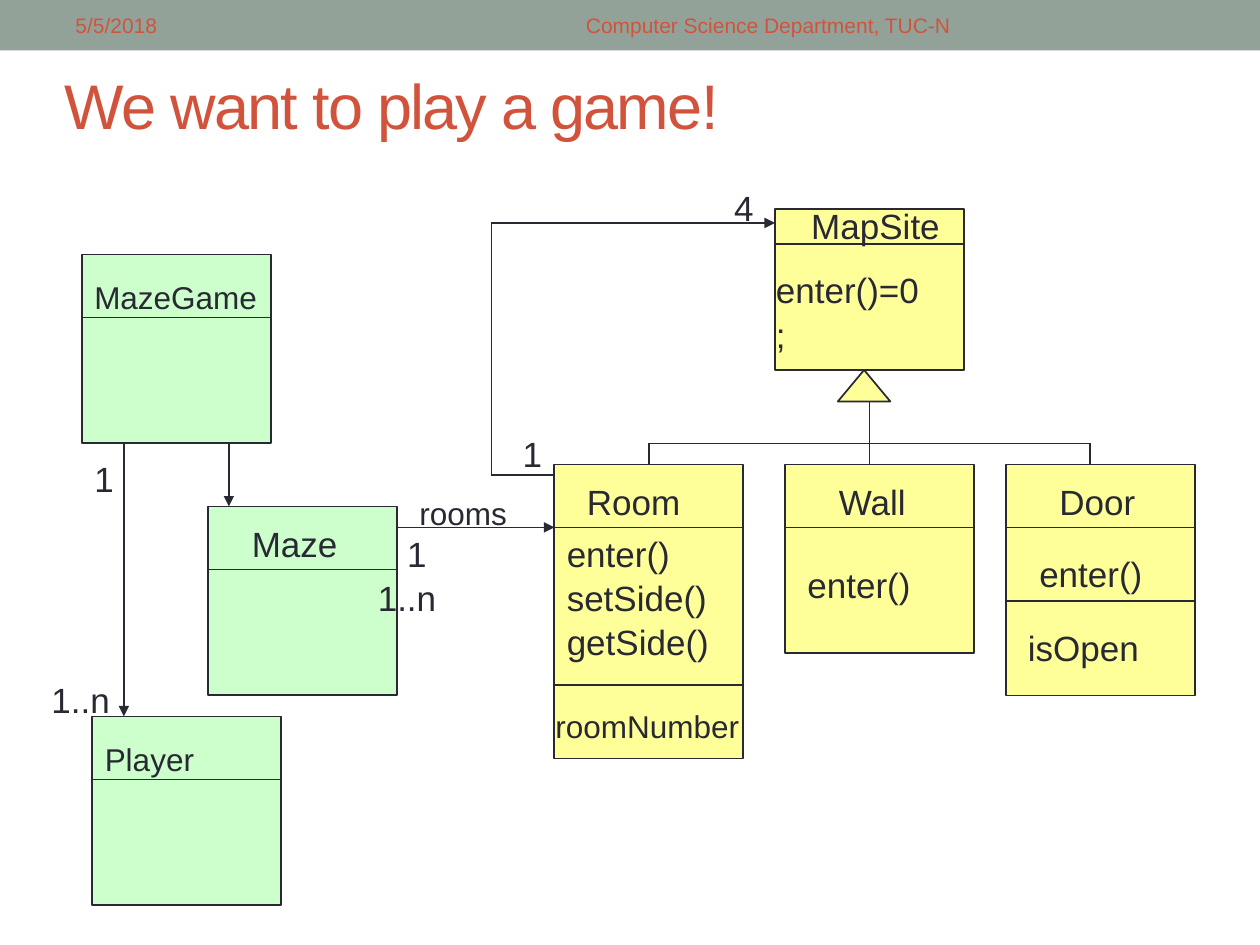
from pptx import Presentation
from pptx.dml.color import RGBColor
from pptx.enum.shapes import MSO_CONNECTOR as Conn, MSO_SHAPE as Shape
from pptx.enum.text import MSO_ANCHOR as Anchor, PP_ALIGN as Align
from pptx.oxml.ns import qn
from pptx.util import Pt
from lxml.etree import SubElement

INK, RED, SAGE = "292934", "D2533C", "93A299"
GREEN, YELLOW = "CCFFCC", "FFFF99"
WIDE = 108   # width of every class box
HEAD = 36    # usual depth of the name row


def color(code):
    return RGBColor.from_string(code)


def text(slide, words, left, top, width=108, height=31, size=20, ink=INK,
         align=Align.LEFT, anchor=Anchor.TOP, track=0, indent=0, lead=1.05):
    """Add a text box; each line of words is a paragraph, indent moves the first."""
    box = slide.shapes.add_textbox(Pt(left), Pt(top), Pt(width), Pt(height))
    frame = box.text_frame
    frame.word_wrap = True
    frame.margin_right = 0
    frame.vertical_anchor = anchor
    frame.text = words
    for para in frame.paragraphs:
        para.alignment = align
        para.line_spacing = lead
        font = para.runs[0].font
        font.name, font.size = "Arial", Pt(size)
        font.color.rgb = color(ink)
        if track:
            para.runs[0]._r.get_or_add_rPr().set("spc", str(track * 100))
    if indent:
        frame.paragraphs[0]._p.get_or_add_pPr().set("indent", str(Pt(indent)))
    return box


def block(slide, kind, left, top, width, height, fill, edge=INK):
    part = slide.shapes.add_shape(kind, Pt(left), Pt(top), Pt(width), Pt(height))
    part.shadow.inherit = False
    part.fill.solid()
    part.fill.fore_color.rgb = color(fill)
    if edge:
        part.line.color.rgb = color(edge)
        part.line.width = Pt(1)
    else:
        part.line.fill.background()
    return part


def line(slide, x1, y1, x2, y2, arrow=False):
    link = slide.shapes.add_connector(Conn.STRAIGHT, Pt(x1), Pt(y1), Pt(x2), Pt(y2))
    link.line.color.rgb = color(INK)
    link.line.width = Pt(1)
    if arrow:
        SubElement(link.line._get_or_add_ln(), qn("a:tailEnd"), type="triangle")
    SubElement(link._element.spPr, qn("a:effectLst"))
    return link


def header(slide, left, top, width, height):
    block(slide, Shape.RECTANGLE, left, top, width, height, SAGE, edge=None)
    look = dict(height=26, size=12, ink=RED, anchor=Anchor.MIDDLE, lead=1)
    text(slide, "5/5/2018", left + 36, top + 1.4, 228, **look)
    text(slide, "Computer Science Department, TUC-N", left + 270, top + 1.4, 331,
         align=Align.CENTER, **look)
    text(slide, "We want to play a game!", left + 30, top + 41.8, 660, 36, size=36,
         ink=RED, anchor=Anchor.MIDDLE, track=-1, lead=1)


def entity(slide, left, top, height, fill, rules, labels):
    """Draw a class box; rules and labels are offsets from its top left corner."""
    box = block(slide, Shape.RECTANGLE, left, top, WIDE, height, fill)
    for drop in rules:
        line(slide, left, top + drop, left + WIDE, top + drop)
    for words, right, down, look in labels:
        text(slide, words, left + right, top + down, **look)
    return box


def tree(slide, left, top, room):
    """Draw the inheritance arrow, its tip row starting at left and top."""
    block(slide, Shape.ISOSCELES_TRIANGLE, left, top, 30, 18, YELLOW)
    stem, bar, foot = left + 18, top + 42, top + 54
    west, east = left - 108, left + 144
    line(slide, stem, foot, stem, top + 18)
    line(slide, west, foot, west, bar).begin_connect(room, 0)
    line(slide, east, foot, east, bar)
    line(slide, west, bar, east, bar)


def exits(slide, left, top, width, height):
    """Draw the link from Room around to MapSite."""
    low = top + height
    line(slide, left + 36, low, left, low)
    line(slide, left, low, left, top)
    line(slide, left, top, left + width, top, arrow=True)
    text(slide, "1", left + 10.8, low - 28.8, 26)
    text(slide, "4", left + width - 30.4, top - 25.8, 26)


def rooms(slide, left, top, width):
    """Draw the link from Maze to Room."""
    line(slide, left, top, left + width, top, arrow=True)
    text(slide, "rooms", left + 5.8, top - 23.5, 65, 29, size=18)
    text(slide, "1\n1..n", left - 18, top - 1.9, 109, 55, indent=16.7)


def owned(slide, left, top, height):
    """Draw the links from MazeGame down to Player and Maze."""
    line(slide, left, top, left, top + height, arrow=True)
    line(slide, left + 60, top, left + 60, top + 36, arrow=True)
    text(slide, "1", left - 24, top + 3.6, 26)
    text(slide, "1..n", left - 48.5, top + height - 26.4, 48)


def diagram(slide, left, top):
    """Place all classes and links on a grid from the left and top given."""
    small = dict(size=18, height=29)
    wall, deck = left + 402, top + 146
    entity(slide, left + 72, top + 170, 108, GREEN, [HEAD], [("Maze", 18, 4.4, {})])
    entity(slide, left + 396, top, 92, YELLOW, [20],
           [("MapSite", 13.7, -7, {}),
            ("enter()=0;", -6.5, 29.6, dict(width=92, height=55))])
    entity(slide, left + 528, deck, 132, YELLOW, [HEAD, 78],
           [("Door", 23.5, 4.6, {}), ("enter()", 12, 45.6, {}),
            ("isOpen", 5.5, 88, {})])
    entity(slide, wall, deck, 108, YELLOW, [HEAD],
           [("Wall", 23.5, 4.6, {}), ("enter()", 5.5, 52, {})])
    room = entity(slide, left + 270, deck, 168, YELLOW, [HEAD, 126],
                  [("Room", 11.5, 4.6, {}),
                   ("enter()\nsetSide()\ngetSide()", 0, 34, dict(height=79)),
                   ("roomNumber", -6.5, 134, dict(width=120, **small))])
    entity(slide, left, top + 26, 108, GREEN, [HEAD], [("MazeGame", 0, 8.8, small)])
    entity(slide, left + 6, top + 290, 108, GREEN, [HEAD], [("Player", 0, 8.8, small)])
    tree(slide, left + 432, top + 92, room)
    exits(slide, left + 234, top + 8, 162, 144)
    rooms(slide, left + 180, top + 182, 90)
    owned(slide, left + 24, top + 134, 156)


def main():
    deck = Presentation()
    deck.slide_width, deck.slide_height = Pt(720), Pt(540)
    slide = deck.slides.add_slide(deck.slide_layouts[6])
    header(slide, 0, 0, 720, 28.8)
    diagram(slide, 46.8, 119.4)
    deck.save("out.pptx")


if __name__ == "__main__":
    main()
